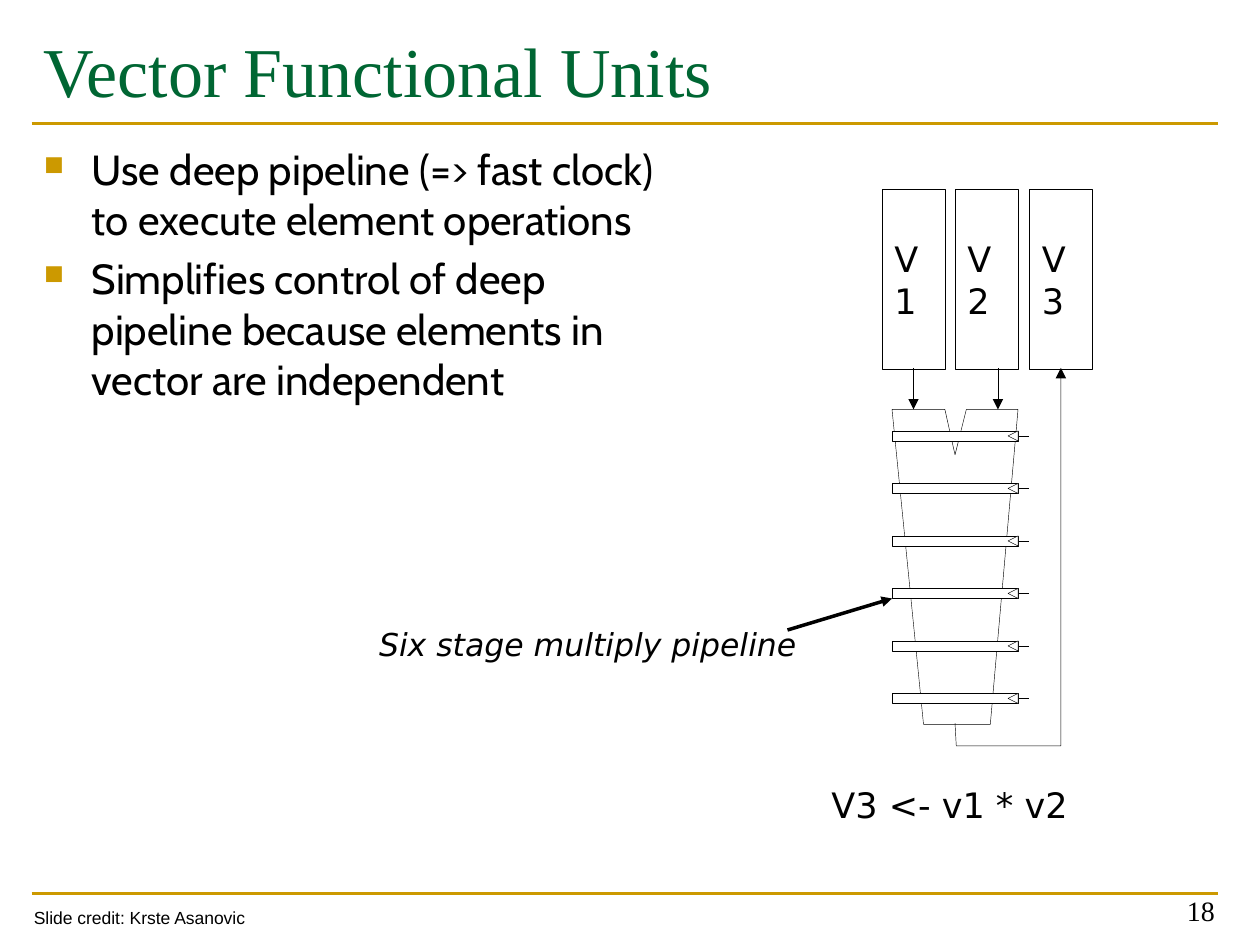
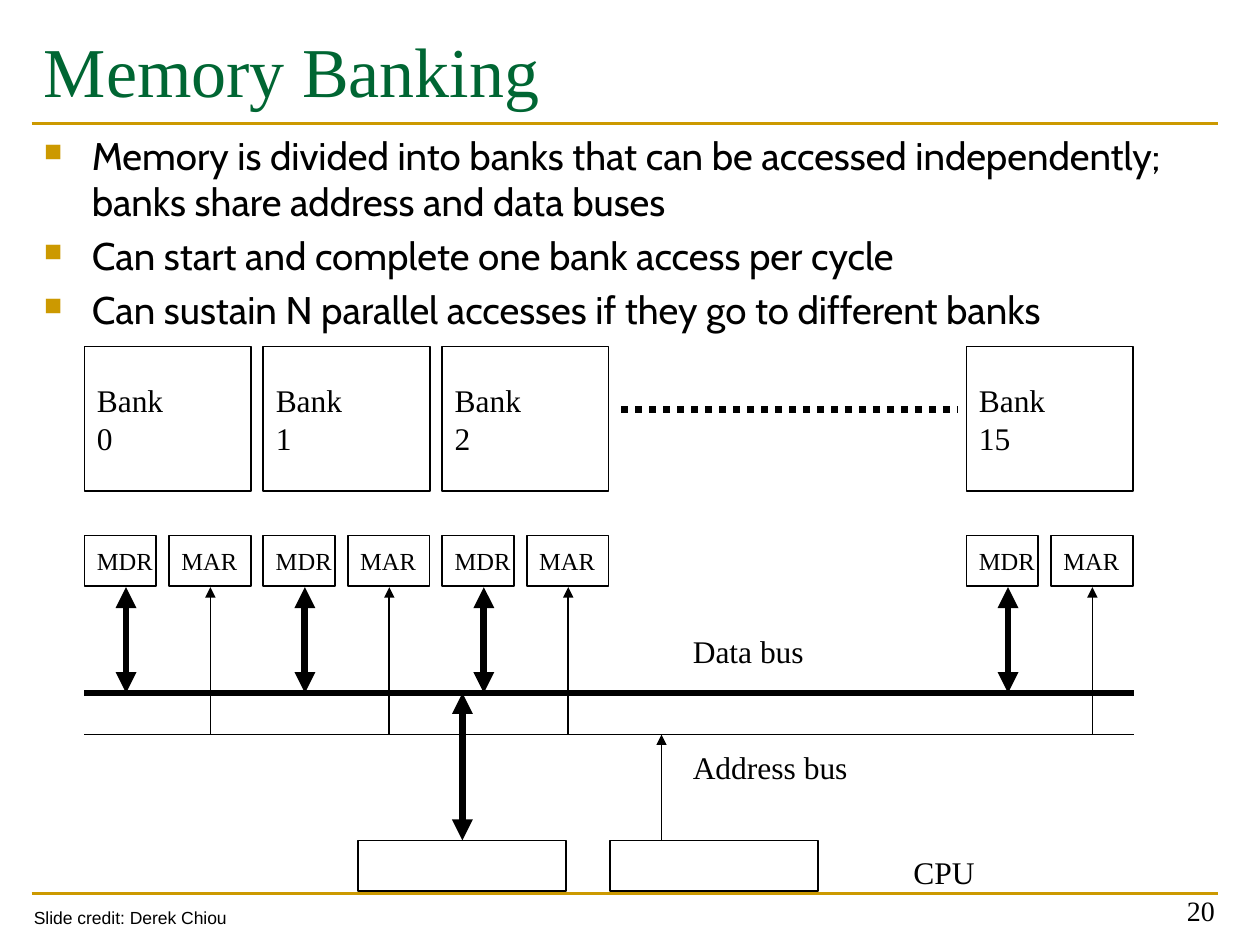
"""Build two slides on vector functional units and memory banking."""
from lxml import etree
from pptx import Presentation
from pptx.dml.color import RGBColor
from pptx.enum.dml import MSO_LINE
from pptx.enum.shapes import MSO_CONNECTOR, MSO_SHAPE
from pptx.enum.text import MSO_ANCHOR, MSO_AUTO_SIZE, PP_ALIGN
from pptx.oxml.ns import qn
from pptx.util import Inches, Pt

GREEN = RGBColor(0x00, 0x66, 0x33)
GOLD = RGBColor(0xCC, 0x99, 0x00)
BLACK = RGBColor(0x00, 0x00, 0x00)
WHITE = RGBColor(0xFF, 0xFF, 0xFF)
SERIF, SANS, BODY, SMALL = "Times New Roman", "DejaVu Sans", "Cabin", "Arial"
LEFT, RIGHT = PP_ALIGN.LEFT, PP_ALIGN.RIGHT
TOP, MIDDLE, BOTTOM = MSO_ANCHOR.TOP, MSO_ANCHOR.MIDDLE, MSO_ANCHOR.BOTTOM
FIT_SHAPE, FIT_NONE = MSO_AUTO_SIZE.SHAPE_TO_FIT_TEXT, MSO_AUTO_SIZE.NONE
RECTANGLE, STRAIGHT, DOTS = MSO_SHAPE.RECTANGLE, MSO_CONNECTOR.STRAIGHT, MSO_LINE.ROUND_DOT

VECTOR_SLIDE = {
    "title": "Vector Functional Units",
    "bullets": ["Use deep pipeline (=> fast clock) to execute element operations",
                "Simplifies control of deep pipeline because elements in vector are independent"],
    "body": (0.25, 1.09, 5.17, 5.68), "size": 24, "number": "18",
    "credit": "Slide credit: Krste Asanovic", "credit_width": 1.9,
}
BANK_SLIDE = {
    "title": "Memory Banking",
    "bullets": ["Memory is divided into banks that can be accessed independently; "
                "banks share address and data buses",
                "Can start and complete one bank access per cycle",
                "Can sustain N parallel accesses if they go to different banks"],
    "body": (0.25, 1, 9.75, 5.77), "size": 22, "number": "20",
    "credit": "Slide credit: Derek Chiou", "credit_width": 1.75,
}
REGISTERS = [("V1", 7), ("V2", 7.58), ("V3", 8.17)]
MULTIPLIER = [(7.08, 3.25), (7.33, 5.75), (7.86, 5.75), (8.08, 3.25),
              (7.67, 3.25), (7.58, 3.61), (7.5, 3.25)]
RESULT_WIRE = [(7.58, 5.74), (7.59, 5.92), (8.42, 5.92), (8.42, 2.92)]
STAGES, STAGE_TOP, STAGE_STEP, LATCH = 6, 3.42, 5 / 12, 0.08
HAIRLINE, THIN, THICK = 0.25, 1, 4
BANKS = [("0", 0.67), ("1", 2.09), ("2", 3.51), ("15", 7.67)]
BANK_LABELS = [("Data bus", 5.4, 4.97, 1.08), ("Address bus", 5.4, 5.89, 1.43),
               ("CPU", 7.15, 6.72, 0.69)]
REGISTER_BOTTOM, DATA_BUS, ADDRESS_BUS, CPU_TOP = 4.66, 5.5, 5.83, 6.67


def write(box, text, size=18, font=SERIF, color=BLACK, align=LEFT, anchor=TOP,
          italic=False, wrap=True, fit=FIT_NONE, bullets=False):
    frame = box.text_frame
    frame.word_wrap, frame.auto_size, frame.vertical_anchor = wrap, fit, anchor
    for index, line in enumerate(text.split("\n")):
        para = frame.add_paragraph() if index else frame.paragraphs[0]
        para.alignment = align
        span = para.add_run()
        span.text = line
        span.font.size, span.font.name, span.font.italic = Pt(size), font, italic
        span.font.color.rgb = color
        if bullets:
            para.space_before = Pt(size * 0.2)
            add_bullet(para)


def add_bullet(para):
    properties = para._p.get_or_add_pPr()
    properties.set("marL", str(Inches(0.38)))
    properties.set("indent", str(Inches(-0.38)))
    color = etree.SubElement(properties, qn("a:buClr"))
    etree.SubElement(color, qn("a:srgbClr"), val=str(GOLD))
    etree.SubElement(properties, qn("a:buSzPct"), val="65000")
    etree.SubElement(properties, qn("a:buChar"), char="■")


def add_text(page, text, left, top, width, height, **style):
    box = page.shapes.add_textbox(*map(Inches, (left, top, width, height)))
    write(box, text, **style)


def finish(shape, width, fill=None):
    shape.shadow.inherit = False
    shape.line.color.rgb, shape.line.width = BLACK, Pt(width)
    if fill is None:
        shape.fill.background()
    else:
        shape.fill.solid()
        shape.fill.fore_color.rgb = fill


def add_box(page, left, top, width, height, text="", line=THIN, fill=None, **style):
    box = page.shapes.add_shape(RECTANGLE, *map(Inches, (left, top, width, height)))
    finish(box, line, fill)
    if text:
        write(box, text, anchor=MIDDLE, **style)


def add_arrowheads(shape, head, tail):
    line = shape.element.spPr.find(qn("a:ln"))
    for wanted, tag in ((head, "a:headEnd"), (tail, "a:tailEnd")):
        if wanted:
            etree.SubElement(line, qn(tag), type="triangle")


def add_line(page, start, end, width=HAIRLINE, color=BLACK, head=False, tail=False, dash=None):
    line = page.shapes.add_connector(STRAIGHT, *map(Inches, (*start, *end)))
    line.line.color.rgb, line.line.width = color, Pt(width)
    if dash:
        line.line.dash_style = dash
    add_arrowheads(line, head, tail)
    etree.SubElement(line.element.spPr, qn("a:effectLst"))


def add_outline(page, points, close=True, fill=None, tail=False):
    corners = [(Inches(x), Inches(y)) for x, y in points]
    builder = page.shapes.build_freeform(*corners[0])
    builder.add_line_segments(corners[1:], close=close)
    shape = builder.convert_to_shape()
    finish(shape, HAIRLINE, fill)
    add_arrowheads(shape, False, tail)


def add_page(deck, content):
    page = deck.slides.add_slide(deck.slide_layouts[6])
    for rule in (7.09, 0.98):
        add_line(page, (0.25, rule), (9.67, rule), 1.5, GOLD)
    add_text(page, content["title"], 0.25, 0.17, 9.42, 1.17, size=40, color=GREEN)
    add_text(page, "\n".join(content["bullets"]), *content["body"],
             size=content["size"], font=BODY, bullets=True)
    add_text(page, content["number"], 7.41, 6.91, 2.33, 0.5,
             size=16, align=RIGHT, anchor=BOTTOM)
    add_text(page, content["credit"], 0.17, 7.15, content["credit_width"], 0.27,
             size=10, font=SMALL, wrap=False, fit=FIT_SHAPE)
    return page


def draw_pipeline(page):
    add_outline(page, MULTIPLIER)
    for stage in range(STAGES):
        top = STAGE_TOP + stage * STAGE_STEP
        middle, bottom = top + LATCH / 2, top + LATCH
        add_box(page, 7.08, top, 1, LATCH, line=HAIRLINE, fill=WHITE)
        add_outline(page, [(8.08, bottom), (8, middle), (8.08, top)], fill=WHITE)
        add_line(page, (8.09, middle), (8.17, middle))
    for operand in (7.25, 7.92):
        add_line(page, (operand, 2.92), (operand, 3.25), tail=True)
    add_outline(page, RESULT_WIRE, close=False, tail=True)
    for name, left in REGISTERS:
        add_box(page, left, 1.5, 0.5, 1.43, name, line=HAIRLINE, size=20, font=SANS)
    add_text(page, "V3 <- v1 * v2", 6.5, 6.17, 2.17, 0.43, size=20, font=SANS,
             anchor=MIDDLE, wrap=False, fit=FIT_SHAPE)
    add_text(page, "Six stage multiply pipeline", 2.91, 4.91, 3.52, 0.4, font=SANS,
             italic=True, wrap=False, fit=FIT_SHAPE)
    add_line(page, (6.25, 5), (7.08, 4.75), 2, tail=True)


def draw_banks(page):
    for number, left in BANKS:
        add_box(page, left, 2.75, 1.32, 1.15, f"Bank\n{number}", wrap=False)
        add_box(page, left, 4.25, 0.57, 0.4, "MDR", size=14, wrap=False)
        add_box(page, left + 0.67, 4.25, 0.65, 0.4, "MAR", size=14, wrap=False)
        data, address = left + 0.33, left + 1
        add_line(page, (data, REGISTER_BOTTOM), (data, DATA_BUS), THICK, head=True, tail=True)
        add_line(page, (address, REGISTER_BOTTOM), (address, ADDRESS_BUS), THIN, head=True)
    add_line(page, (4.93, 3.25), (7.6, 3.25), THICK, dash=DOTS)
    for bus, width in ((DATA_BUS, THICK), (ADDRESS_BUS, THIN)):
        add_line(page, (0.67, bus), (9, bus), width)
    for text, left, top, width in BANK_LABELS:
        add_text(page, text, left, top, width, 0.4, wrap=False, fit=FIT_SHAPE)
    for left in (2.84, 4.84):
        add_box(page, left, CPU_TOP, 1.65, 0.4)
    add_line(page, (3.67, DATA_BUS), (3.67, CPU_TOP), THICK, head=True, tail=True)
    add_line(page, (5.25, ADDRESS_BUS), (5.25, CPU_TOP), THIN, head=True)


def main():
    deck = Presentation()
    deck.slide_width, deck.slide_height = Inches(10), Inches(7.5)
    draw_pipeline(add_page(deck, VECTOR_SLIDE))
    draw_banks(add_page(deck, BANK_SLIDE))
    deck.save("out.pptx")


if __name__ == "__main__":
    main()
